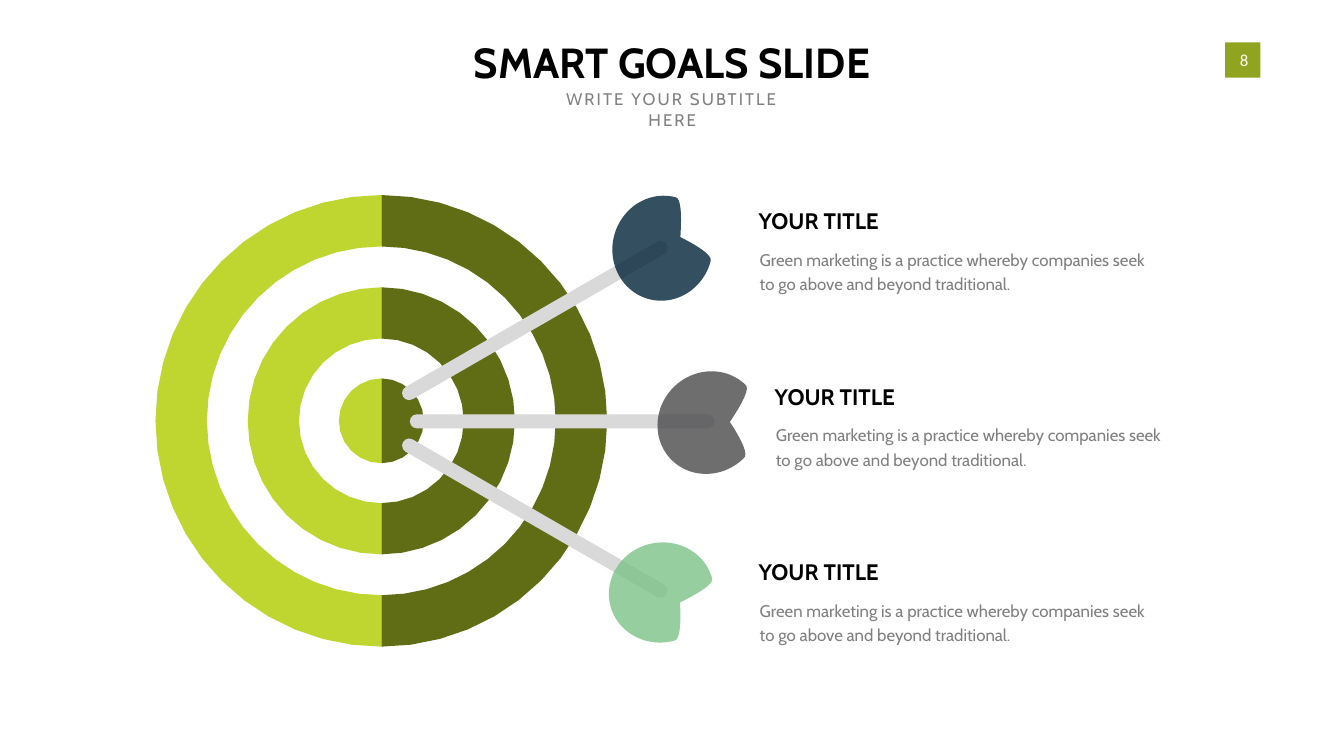
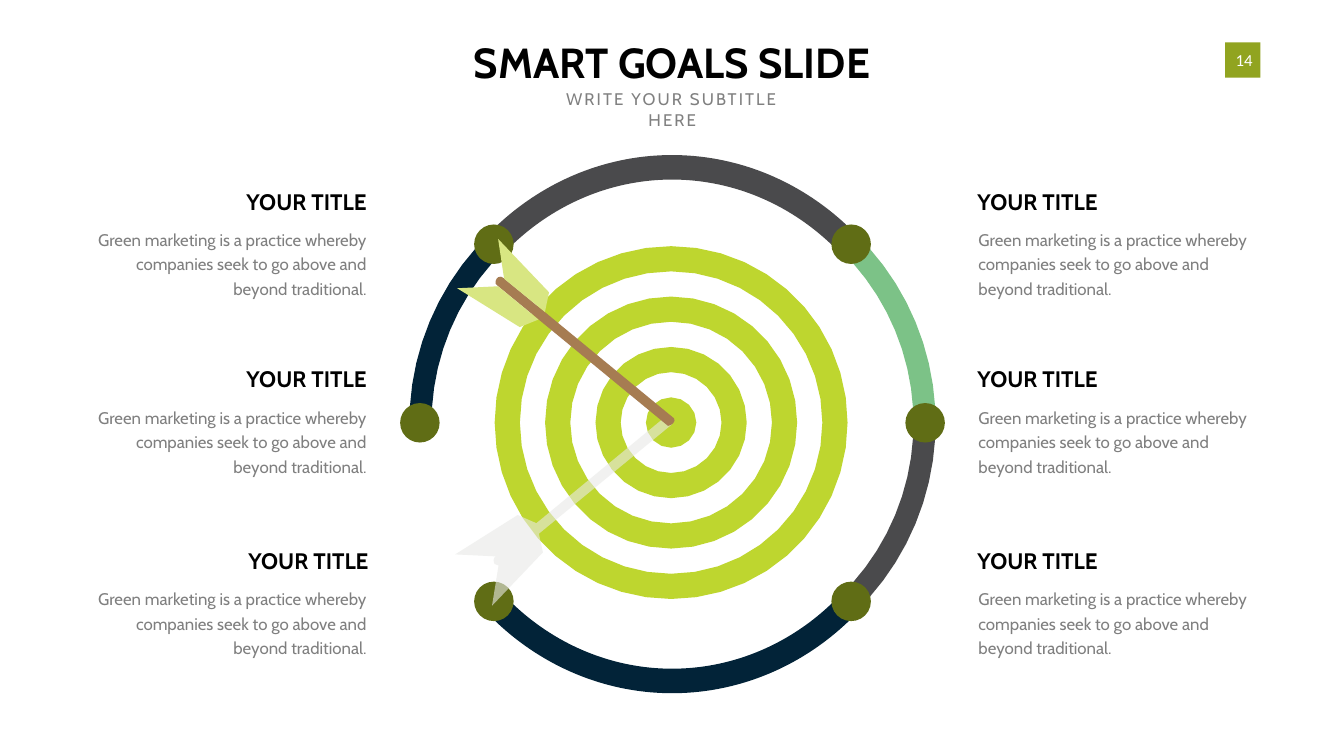
from dataclasses import dataclass
from math import ceil, cos, radians, sin, sqrt

from lxml import etree
from pptx import Presentation
from pptx.dml.color import RGBColor
from pptx.enum.shapes import MSO_SHAPE
from pptx.enum.text import MSO_ANCHOR, MSO_AUTO_SIZE, PP_ALIGN
from pptx.oxml.ns import qn
from pptx.util import Pt

LEFT, CENTER, RIGHT = PP_ALIGN.LEFT, PP_ALIGN.CENTER, PP_ALIGN.RIGHT
TOP, MIDDLE = MSO_ANCHOR.TOP, MSO_ANCHOR.MIDDLE
GROW, FIXED = MSO_AUTO_SIZE.SHAPE_TO_FIT_TEXT, MSO_AUTO_SIZE.NONE
RECTANGLE, ROUNDED = MSO_SHAPE.RECTANGLE, MSO_SHAPE.ROUNDED_RECTANGLE
OVAL, TEARDROP, ARC = MSO_SHAPE.OVAL, MSO_SHAPE.TEAR, MSO_SHAPE.ARC


@dataclass(frozen=True)
class Theme:
    font: str = "Cabin"
    number_font: str = "Calibri"
    title_size: int = 60
    heading_size: int = 32
    body_size: int = 24
    body_leading: int = 35
    black: str = "000000"
    white: str = "FFFFFF"
    subtitle: str = "808080"
    body: str = "7F7F7F"
    badge: str = "91A420"
    olive: str = "606D15"
    lime: str = "BED62F"
    navy: str = "022338"
    charcoal: str = "4A4A4C"
    mint: str = "7CC287"
    shaft: str = "D9D9D9"
    wood: str = "A67C52"
    feather: str = "D8E682"
    ghost: str = "E8E9E6"


THEME = Theme()
SLIDE_SIZE = (1919.52, 1080)
TITLE = "SMART GOALS SLIDE"
SUBTITLE = "WRITE YOUR SUBTITLE HERE"
HEADING = "YOUR TITLE"
BODY = ("Green marketing is a practice whereby companies seek "
        "to go above and beyond traditional.")

BOARD_CENTER = (544.6, 601.2)
BOARD_BANDS = ((60.6, 0), (190.8, 117.6), (322.6, 249.1))
WHITE_RADIUS = 282.2
SHAFT_SIZE = (20.16, 434.88)
FLETCHING_SIZE = (142.56, 150.48)
DARTS = (
    (90, (802.8, 601.9), (1012.3, 603.7), THEME.charcoal),
    (60, (763.9, 457.9), (946.1, 354.6), THEME.navy),
    (120, (763.9, 740.2), (944.6, 846.4), THEME.mint),
)

RINGS_CENTER = (958.5, 603.7)
RING_STEP = 36
RING_COUNT = 7
LOOP_CENTER = (960.5, 604)
LOOP_RADIUS = 360.8
LOOP_BAND = (375.8, 344.2)
KNOB_ANGLES = (225, 180, 135, 45, 0, 315)
KNOB_DIAMETER = 56.4
BAND_SWEEP = 38.1
BANDS = ((183.6, THEME.navy), (318.4, THEME.mint), (3.5, THEME.charcoal))
ARCS = ((203.8, 180, THEME.navy), (239, 0, THEME.charcoal))

GHOST_ARROW = (
    (959.8, 606.2), (951.1, 594.7), (766.1, 747.4), (739.4, 735.8),
    (650.2, 792), (708.5, 794.9), (706.3, 796.3), (704.9, 800.6),
    (706.3, 805.7), (712.1, 807.8), (702.7, 865.4), (775.4, 789.1),
    (769.7, 762.5),
)
WOOD_SHAFT = (
    (962.6, 597.6), (719.3, 397.4), (715.7, 395.3), (711.4, 396),
    (709.2, 398.2), (707.8, 401.8), (707.8, 405.4), (710.6, 408.2),
    (954, 608.4), (958.3, 607), (961.2, 604.8), (963.4, 601.2),
)
FEATHERS = (
    ((711.4, 409), (769, 456.5), (742.3, 467.3), (653, 411.8)),
    ((711.4, 341.3), (784.1, 417.6), (778.3, 445.7), (720, 398.2)),
)


def rgb(color):
    return RGBColor.from_string(color)


def paint(shape, color, opacity=100):
    shape.shadow.inherit = False
    shape.fill.solid()
    shape.fill.fore_color.rgb = rgb(color)
    shape.line.fill.background()
    if opacity < 100:
        tint = shape._element.spPr.find(qn("a:solidFill"))[0]
        etree.SubElement(tint, qn("a:alpha")).set("val", str(opacity * 1000))


def place(shape, left, top, width, height):
    shape.left, shape.top = Pt(left), Pt(top)
    shape.width, shape.height = Pt(width), Pt(height)


def write(box, text, size, color, font=THEME.font, bold=False, align=LEFT,
          anchor=TOP, wrap=False, fit=GROW):
    frame = box.text_frame
    frame.word_wrap = wrap
    frame.auto_size = fit
    frame.vertical_anchor = anchor
    para = frame.paragraphs[0]
    para.alignment = align
    span = para.add_run()
    span.text = text
    span.font.name = font
    span.font.size = Pt(size)
    span.font.bold = bold
    span.font.color.rgb = rgb(color)
    return para


def add_text(page, left, top, width, height, text, size, color, **style):
    box = page.shapes.add_textbox(Pt(left), Pt(top), Pt(width), Pt(height))
    return box, write(box, text, size, color, **style)


def add_centered(page, kind, center, size, color, turn=0, opacity=100):
    (x, y), (width, height) = center, size
    shape = page.shapes.add_shape(
        kind, Pt(x - width / 2), Pt(y - height / 2), Pt(width), Pt(height))
    shape.rotation = turn
    paint(shape, color, opacity)
    return shape


def add_outline(page, contours, color, opacity=100):
    points = [[(Pt(x), Pt(y)) for x, y in contour] for contour in contours]
    builder = page.shapes.build_freeform(*points[0][0], scale=1.0)
    builder.add_line_segments(points[0][1:])
    for contour in points[1:]:
        builder.move_to(*contour[0])
        builder.add_line_segments(contour[1:])
    paint(builder.convert_to_shape(), color, opacity)


def polar(center, radius, angle):
    return (center[0] + radius * cos(radians(angle)),
            center[1] + radius * sin(radians(angle)))


def curve(center, radius, start, sweep):
    if radius == 0:
        return [center]
    steps = 4 * ceil(abs(sweep) * sqrt(radius) / 560)
    return [polar(center, radius, start + sweep * step / steps)
            for step in range(steps + 1)]


def band(center, outer, inner, start, sweep):
    return (curve(center, outer, start, sweep)
            + curve(center, inner, start + sweep, -sweep))


def add_page(deck, number):
    page = deck.slides.add_slide(deck.slide_layouts[5])
    badge = add_centered(page, RECTANGLE, (1774.8, 85.7), (50.4, 50.4),
                         THEME.badge)
    para = write(badge, number, THEME.body_size, THEME.white,
                 font=THEME.number_font, align=CENTER, anchor=MIDDLE, fit=FIXED)
    properties = para._p.get_or_add_pPr()
    properties.set("marL", str(Pt(4.32)))
    properties.set("indent", "0")
    title = page.shapes.title
    place(title, 650.2, 48.2, 618.5, 79.9)
    write(title, TITLE, THEME.title_size, THEME.black, bold=True, align=CENTER)
    _, para = add_text(page, 764.6, 123.8, 391, 36, SUBTITLE, THEME.body_size,
                       THEME.subtitle, align=CENTER)
    para.runs[0].font._element.set("spc", "300")
    return page


def add_callout(page, heading_left, body_left, top, body_size, align=LEFT,
                heading_width=193):
    add_text(page, heading_left, top, heading_width, 46.1, HEADING,
             THEME.heading_size, THEME.black, bold=True, align=align,
             anchor=MIDDLE)
    box, para = add_text(page, body_left, top + 49, *body_size, BODY,
                         THEME.body_size, THEME.body, align=align, wrap=True)
    frame = box.text_frame
    frame.margin_left = frame.margin_right = Pt(17.28)
    frame.margin_top = frame.margin_bottom = Pt(8.64)
    para.line_spacing = Pt(THEME.body_leading)


def add_dart(page, turn, shaft_center, fletching_center, color):
    shaft = add_centered(page, ROUNDED, shaft_center, SHAFT_SIZE, THEME.shaft,
                         turn)
    shaft.adjustments[0] = 0.5
    fletching = add_centered(page, TEARDROP, fletching_center, FLETCHING_SIZE,
                             color, turn - 45.3, 80)
    fletching.adjustments[0] = 0.291


def add_loop_arc(page, top, turn, color):
    arc = page.shapes.add_shape(ARC, Pt(599.8), Pt(top), Pt(720), Pt(769))
    arc.shadow.inherit = False
    arc.rotation = turn
    arc.adjustments[0] = 136.169
    arc.adjustments[1] = 187.577
    arc.fill.background()
    arc.line.color.rgb = rgb(color)
    arc.line.width = Pt(35)


def build_dart_page(deck):
    page = add_page(deck, "8")
    for row, left in enumerate((1076.4, 1099.4, 1076.4)):
        add_callout(page, left, left - 8.64, 292.3 + 250.9 * row, (607.7, 84.2))
    add_centered(page, OVAL, BOARD_CENTER, (2 * WHITE_RADIUS,) * 2, THEME.white)
    for start, color in ((-90, THEME.olive), (90, THEME.lime)):
        add_outline(page, [band(BOARD_CENTER, outer, inner, start, 180)
                           for outer, inner in BOARD_BANDS], color)
    for dart in DARTS:
        add_dart(page, *dart)


def build_loop_page(deck):
    page = add_page(deck, "14")
    for arc in ARCS:
        add_loop_arc(page, *arc)
    add_outline(page, [curve(RINGS_CENTER, RING_STEP * ring, 0, 360 * (-1) ** ring)
                       for ring in range(RING_COUNT, 0, -1)], THEME.lime)
    for start, color in BANDS:
        add_outline(page, [band(LOOP_CENTER, *LOOP_BAND, start, BAND_SWEEP)],
                    color)
    for angle in KNOB_ANGLES:
        add_centered(page, OVAL, polar(LOOP_CENTER, LOOP_RADIUS, angle),
                     (KNOB_DIAMETER, KNOB_DIAMETER), THEME.olive)
    add_outline(page, [GHOST_ARROW], THEME.ghost, 60)
    add_outline(page, [WOOD_SHAFT], THEME.wood)
    add_outline(page, FEATHERS, THEME.feather)
    columns = ((1388.9, 1380.2, LEFT), (337.7, 101.5, RIGHT))
    rows = ((264.2, 193), (518.4, 193), (777.6, 195.8))
    for heading_left, body_left, align in columns:
        for top, width in rows:
            add_callout(page, heading_left, body_left, top, (439.2, 119.5),
                        align, width)


def main():
    deck = Presentation()
    deck.slide_width, deck.slide_height = (Pt(side) for side in SLIDE_SIZE)
    build_dart_page(deck)
    build_loop_page(deck)
    deck.save("out.pptx")


if __name__ == "__main__":
    main()
